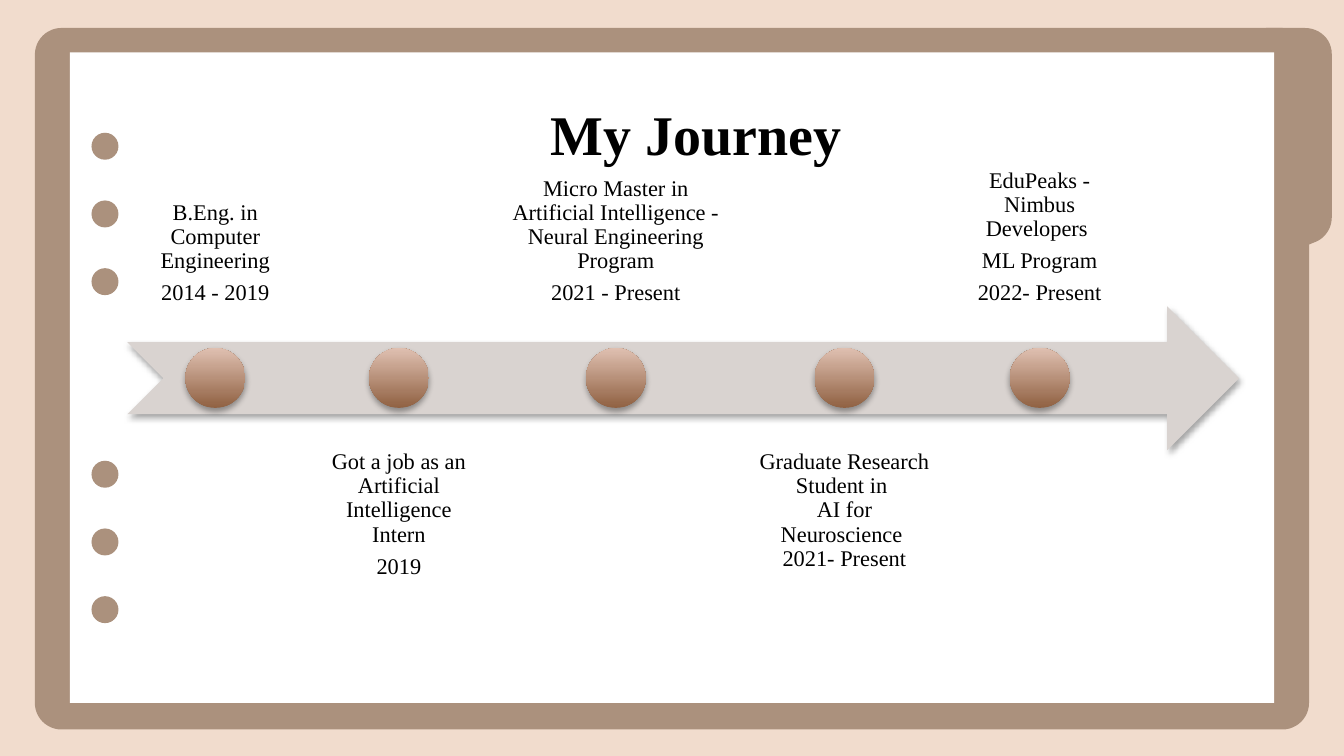
"""Build the "My Journey" timeline slide."""
from lxml.etree import SubElement
from pptx import Presentation
from pptx.dml.color import RGBColor
from pptx.enum.shapes import MSO_SHAPE
from pptx.enum.text import MSO_ANCHOR, MSO_AUTO_SIZE, PP_ALIGN
from pptx.oxml.ns import qn
from pptx.util import Cm, Pt

COLORS = {
    "background": "F1DCCD",
    "frame": "AB917D",
    "paper": "FFFFFF",
    "arrow": "D9D3D0",
    "marker_dark": "906142",
    "marker_light": "DFC0B1",
    "text": "000000",
}
FONT = "Times New Roman"
RGB = {name: RGBColor.from_string(value) for name, value in COLORS.items()}


def add_solid(kind, left, top, width, height, color):
    shape = page.shapes.add_shape(kind, Cm(left), Cm(top), Cm(width), Cm(height))
    shape.shadow.inherit = False
    shape.fill.solid()
    shape.fill.fore_color.rgb = RGB[color]
    shape.line.fill.background()
    return shape


def add_soft_shadow(shape):
    effects = shape._element.spPr.find(qn("a:effectLst"))
    shadow = SubElement(effects, qn("a:outerShdw"), blurRad="40000", dist="23000",
                        dir="5400000", rotWithShape="0")
    black = SubElement(shadow, qn("a:srgbClr"), val="000000")
    SubElement(black, qn("a:alpha"), val="35000")


deck = Presentation()
deck.slide_width, deck.slide_height = Cm(25.4), Cm(14.29)
page = deck.slides.add_slide(deck.slide_layouts[5])
page.background.fill.solid()
page.background.fill.fore_color.rgb = RGB["background"]

frame = add_solid(MSO_SHAPE.ROUNDED_RECTANGLE, 0.66, 0.53, 24.08, 13.26, "frame")
frame.adjustments[0] = 0.038

tab_corners = [
    [(24.87, 4.57), (25.04, 4.5), (25.17, 4.32), (25.17, 4.11)],
    [(25.17, 1.02), (25.17, 0.74), (24.94, 0.53), (24.66, 0.53)],
]
STEPS = 12
tab_points = [(23.93, 4.95)]
for corner in tab_corners:
    for step in range(STEPS + 1):
        t = step / STEPS
        weights = ((1 - t) ** 3, 3 * t * (1 - t) ** 2, 3 * t ** 2 * (1 - t), t ** 3)
        tab_points.append(tuple(
            sum(weight * point[axis] for weight, point in zip(weights, corner))
            for axis in (0, 1)))
builder = page.shapes.build_freeform(Cm(23.93), Cm(0.53))
builder.add_line_segments([(Cm(x), Cm(y)) for x, y in tab_points], close=True)
tab = builder.convert_to_shape()
tab.shadow.inherit = False
tab.fill.solid()
tab.fill.fore_color.rgb = RGB["frame"]
tab.line.fill.background()

add_solid(MSO_SHAPE.RECTANGLE, 1.32, 0.99, 22.76, 12.3, "paper")
for first_hole in (8.71, 2.51):
    for index in range(3):
        add_solid(MSO_SHAPE.OVAL, 1.73, first_hole + 1.28 * index, 0.51, 0.51, "frame")

title = page.shapes.title
page.shapes._spTree.append(title._element)
title.left, title.top, title.width, title.height = Cm(2.9), Cm(1.5), Cm(20.52), Cm(1.52)
title_frame = title.text_frame
title_frame.auto_size = MSO_AUTO_SIZE.NONE
title_frame.vertical_anchor = MSO_ANCHOR.TOP
title_frame.margin_top = Cm(0.38)
para = title_frame.paragraphs[0]
para.alignment = PP_ALIGN.CENTER
span = para.add_run()
span.text = "My Journey"
span.font.name, span.font.size, span.font.bold = FONT, Pt(30), True
span.font.color.rgb = RGB["text"]

arrow = add_solid(MSO_SHAPE.NOTCHED_RIGHT_ARROW, 2.41, 5.79, 21.01, 2.72, "arrow")
add_soft_shadow(arrow)

MARKER = 1.13
events = [
    (4.07, 3.3, [["B.Eng. in Computer Engineering"], ["2014 - 2019"]]),
    (7.54, 3.3, [["Got a job as an Artificial Intelligence Intern"], ["2019"]]),
    (11.64, 4.57, [["Micro Master in Artificial Intelligence - Neural Engineering Program"],
                   ["2021 - Present"]]),
    (15.96, 3.73, [["Graduate Research Student in ", "AI for Neuroscience ", "2021- Present"]]),
    (19.65, 3.3, [["EduPeaks - Nimbus Developers "], ["ML Program"], ["2022- Present"]]),
]
for index, (center, width, paragraphs) in enumerate(events):
    above = index % 2 == 0
    box = page.shapes.add_textbox(
        Cm(center - width / 2), Cm(1.49 if above else 8.28), Cm(width), Cm(4.52))
    text = box.text_frame
    text.word_wrap = True
    text.vertical_anchor = MSO_ANCHOR.BOTTOM if above else MSO_ANCHOR.TOP
    text.margin_left = text.margin_right = text.margin_top = text.margin_bottom = Cm(0.23)
    for number, lines in enumerate(paragraphs):
        para = text.add_paragraph() if number else text.paragraphs[0]
        para.alignment = PP_ALIGN.CENTER
        para.line_spacing = 0.9
        para.space_after = Pt(4.2)
        for position, line in enumerate(lines):
            if position:
                para.add_line_break()
            span = para.add_run()
            span.text = line
            span.font.name, span.font.size = FONT, Pt(12)
            span.font.color.rgb = RGB["text"]

    marker = add_solid(MSO_SHAPE.OVAL, center - MARKER / 2, 6.58, MARKER, MARKER, "marker_dark")
    marker.fill.gradient()
    marker.fill.gradient_angle = 90
    for stop, color in zip(marker.fill.gradient_stops, ("marker_dark", "marker_light")):
        stop.color.rgb = RGB[color]
    add_soft_shadow(marker)

deck.save("out.pptx")
